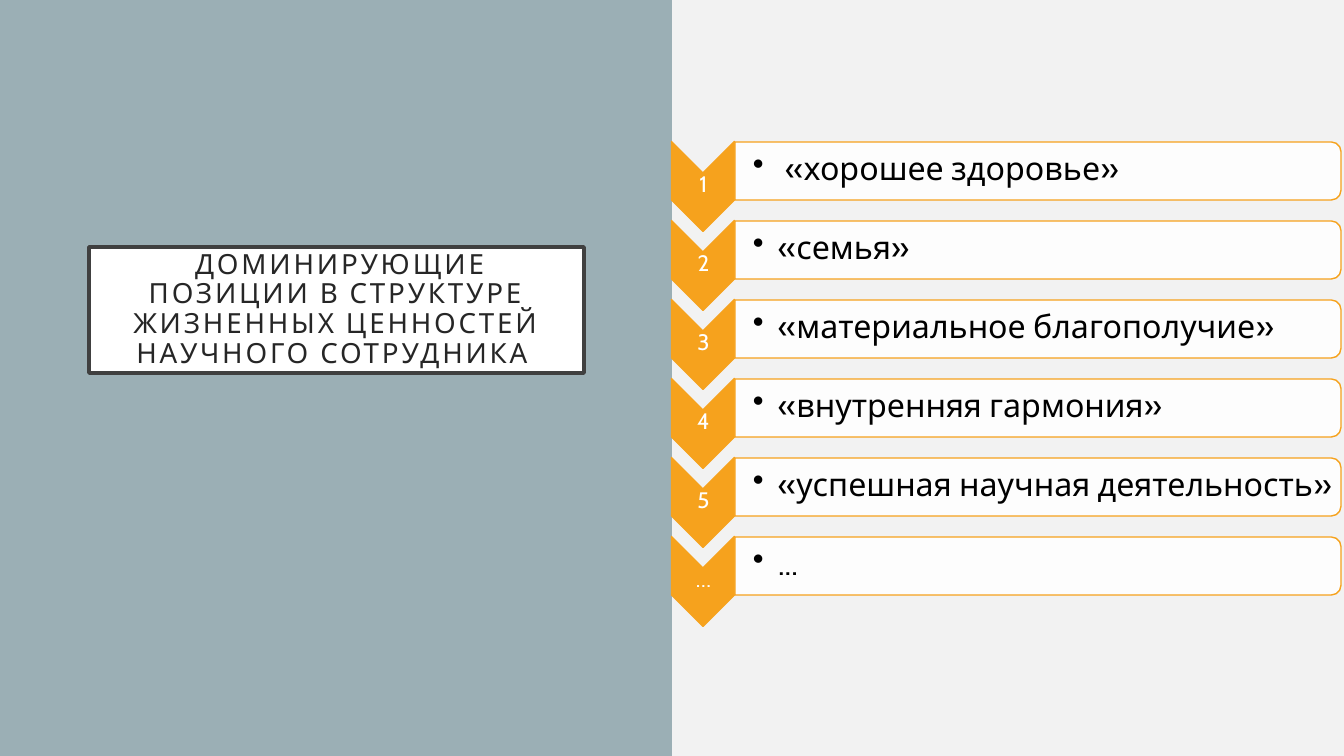
import pptx
import pptx.util
import pptx.dml.color
import pptx.enum.shapes
import pptx.enum.text
import pptx.oxml
import lxml.etree
from pptx.oxml.ns import qn

SCALE = 914400 / 100.8
THEME = {
    "font": "Cabin",
    "back": "F2F2F2", "panel": "9BAFB5", "white": "FFFFFF",
    "frame": "404040", "title": "262626", "accent": "F6A21D", "black": "000000",
    "title size": 19.8, "number size": 16, "item size": 23,
}
ITEMS = [
    ("1", " «хорошее здоровье» "),
    ("2", "«семья»"),
    ("3", "«материальное благополучие»"),
    ("4", "«внутренняя гармония»"),
    ("5", "«успешная научная деятельность»"),
    ("…", "..."),
]
TOP, PITCH = 141, 79
SHAPE = pptx.enum.shapes.MSO_SHAPE
ALIGN = pptx.enum.text.PP_ALIGN


def paint(shape, fill, line=None, width=1):
    """Set fill and outline; no line colour means no outline."""
    color = pptx.dml.color.RGBColor.from_string
    shape.shadow.inherit = False
    shape.fill.solid()
    shape.fill.fore_color.rgb = color(THEME[fill])
    if line:
        shape.line.color.rgb = color(THEME[line])
        shape.line.width = pptx.util.Pt(width)
    else:
        shape.line.fill.background()


def write(shape, text, size, color, align, insets):
    """Fill a shape with one formatted paragraph and return it."""
    frame = shape.text_frame
    frame.text = text
    frame.word_wrap = True
    frame.auto_size = pptx.enum.text.MSO_AUTO_SIZE.NONE
    frame.vertical_anchor = pptx.enum.text.MSO_ANCHOR.MIDDLE
    sides = [round(inset * SCALE) for inset in insets]
    frame.margin_left, frame.margin_top, frame.margin_right, frame.margin_bottom = sides
    para = frame.paragraphs[0]
    para.alignment = align
    para.line_spacing = 0.9
    font = para.runs[0].font
    font.name = THEME["font"]
    font.size = pptx.util.Pt(THEME[size])
    font.color.rgb = pptx.dml.color.RGBColor.from_string(THEME[color])
    return para


deck = pptx.Presentation()
deck.slide_width, deck.slide_height = round(1344 * SCALE), round(756 * SCALE)
slide = deck.slides.add_slide(deck.slide_layouts[5])
slide.background.fill.solid()
slide.background.fill.fore_color.rgb = pptx.dml.color.RGBColor.from_string(THEME["back"])
shapes = slide.shapes

# Left panel with the framed title
title = shapes.title
panel = shapes.add_shape(SHAPE.RECTANGLE, 0, 0, round(672 * SCALE), deck.slide_height)
paint(panel, "panel")
title.element.addprevious(panel.element)

title.left, title.top, title.width, title.height = [
    round(n * SCALE) for n in (89, 247, 495, 126)]
title.fill.solid()
title.fill.fore_color.rgb = pptx.dml.color.RGBColor.from_string(THEME["white"])
title.line.color.rgb = pptx.dml.color.RGBColor.from_string(THEME["frame"])
title.line.width = pptx.util.Pt(2.5)
para = write(
    title,
    " ДОМИНИРУЮЩИЕ ПОЗИЦИИ В СТРУКТУРЕ ЖИЗНЕННЫХ ЦЕННОСТЕЙ НАУЧНОГО СОТРУДНИКА ",
    "title size", "title", ALIGN.CENTER, (20, 20, 20, 20))
para.runs[0].font.element.set("spc", "200") if hasattr(para.runs[0].font, "element") else \
    para.runs[0]._r.get_or_add_rPr().set("spc", "200")

# Ranked list: a chevron with its number, then a card with its value
for row, (number, value) in enumerate(ITEMS):
    top = TOP + row * PITCH

    # Boxes are given before their quarter turn
    chevron = shapes.add_shape(
        SHAPE.CHEVRON, *[round(n * SCALE) for n in (658, top + 14, 90, 63)])
    chevron.rotation = 90
    paint(chevron, "accent", "accent")

    label = shapes.add_textbox(*[round(n * SCALE) for n in (672, top + 31, 63, 27)])
    write(label, number, "number size", "white", ALIGN.CENTER, (1, 1, 1, 1))

    card = shapes.add_shape(
        SHAPE.ROUND_2_SAME_RECTANGLE,
        *[round(n * SCALE) for n in (1009, top - 273, 58, 606)])
    card.rotation = 90
    paint(card, "white", "accent")
    tint = card.element.spPr.find(qn("a:solidFill")).find(qn("a:srgbClr"))
    lxml.etree.SubElement(tint, qn("a:alpha"), val="90000")

    entry = shapes.add_textbox(*[round(n * SCALE) for n in (735, top + 3, 604, 52)])
    para = write(entry, value, "item size", "black", ALIGN.LEFT, (18, 2, 2, 2))
    props = para._p.get_or_add_pPr()
    props.set("marL", "228600")
    props.set("indent", "-228600")
    lxml.etree.SubElement(props, qn("a:buChar"), char="•")

deck.save("out.pptx")
